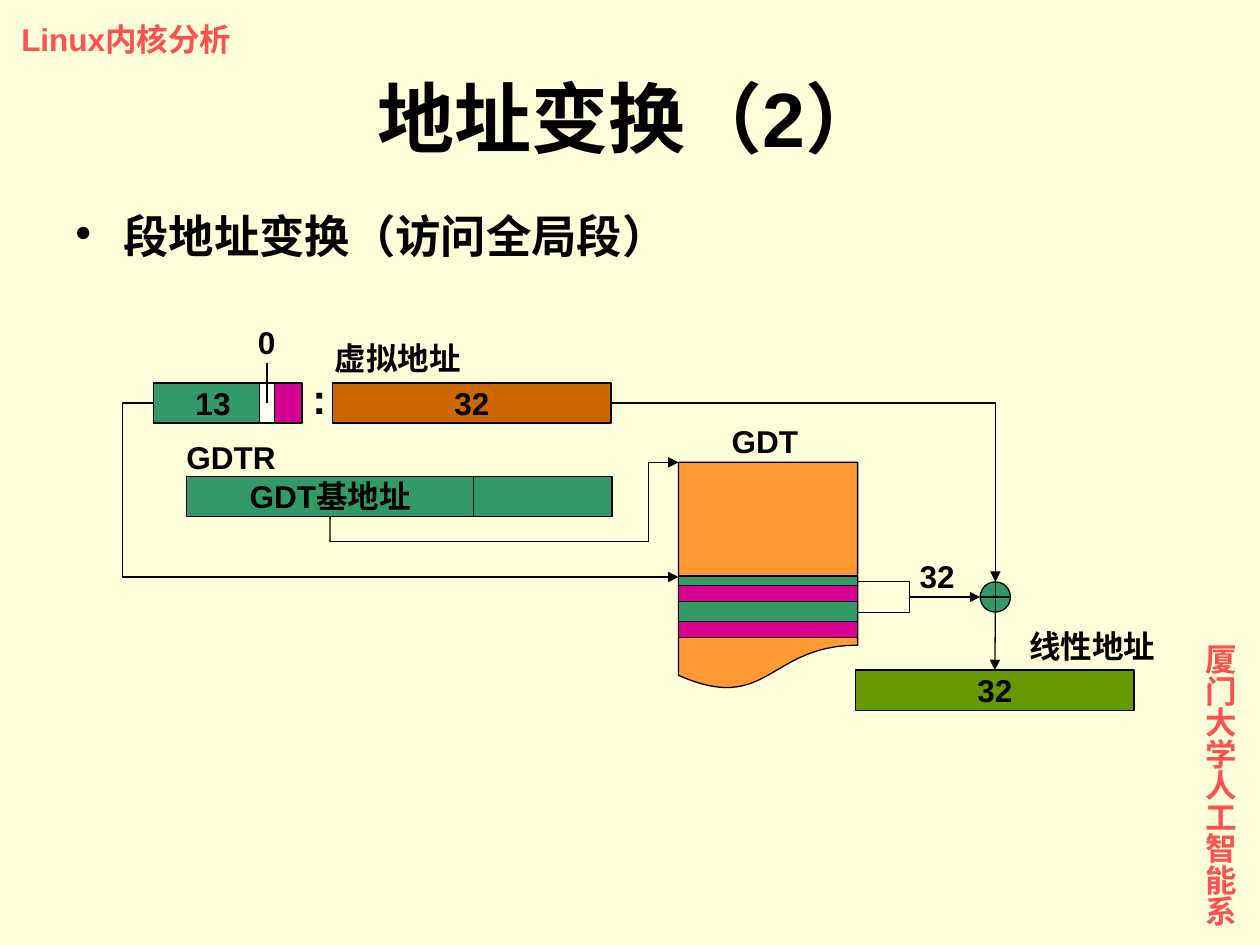
from lxml import etree
from pptx import Presentation
from pptx.dml.color import RGBColor
from pptx.enum import shapes, text
from pptx.oxml.ns import qn
from pptx.util import Cm, Pt

CREAM = RGBColor(0xFF, 0xFF, 0xD9)
BLACK = RGBColor(0, 0, 0)
CORAL = RGBColor(0xFF, 0x50, 0x50)
GREEN = RGBColor(0x33, 0x99, 0x66)
MAGENTA = RGBColor(0xD6, 0x00, 0x93)
BROWN = RGBColor(0xCC, 0x66, 0x00)
ORANGE = RGBColor(0xFF, 0x99, 0x33)
OLIVE = RGBColor(0x66, 0x99, 0x00)
IVORY = RGBColor(0xFF, 0xFF, 0xF7)

RECT = shapes.MSO_SHAPE.RECTANGLE
DOCUMENT = shapes.MSO_SHAPE.FLOWCHART_DOCUMENT
ADDER = shapes.MSO_SHAPE.FLOWCHART_OR
CENTER = text.PP_ALIGN.CENTER
MIDDLE = text.MSO_ANCHOR.MIDDLE

ROW_H = 0.81
SELECTOR_Y, GDTR_Y, LINEAR_Y = 7.72, 9.6, 13.51
SELECTOR_MID = SELECTOR_Y + ROW_H / 2
TABLE_X, TABLE_Y, TABLE_W = 13.68, 9.32, 3.61
TABLE_RIGHT = TABLE_X + TABLE_W
ADDER_X, ADDER_Y, ADDER_D = 19.76, 11.73, 0.61
ADDER_MID_X, ADDER_MID_Y = ADDER_X + ADDER_D / 2, ADDER_Y + ADDER_D / 2
BRACKET_X, BRACKET_HALF = 18.34, 0.31
LOOP_X, LOOP_Y, GDTR_MID = 13.08, 10.92, 6.65

BLOCKS = {
    "table": (DOCUMENT, TABLE_X, TABLE_Y, TABLE_W, 4.6, ORANGE, ""),
    "base": (RECT, 3.76, GDTR_Y, 5.79, ROW_H, GREEN, "GDT基地址"),
    "limit": (RECT, 9.55, GDTR_Y, 2.79, ROW_H, GREEN, ""),
    "privilege": (RECT, 3.3, SELECTOR_Y, 2.79, ROW_H, MAGENTA, ""),
    "offset": (RECT, 6.71, SELECTOR_Y, 5.61, ROW_H, BROWN, "32"),
    "index": (RECT, 3.1, SELECTOR_Y, 2.39, ROW_H, GREEN, "13"),
    "indicator": (RECT, 5.23, SELECTOR_Y, 0.3, ROW_H, IVORY, ""),
    "descriptor": (RECT, TABLE_X, 11.66, TABLE_W, 1.19, MAGENTA, ""),
    "upper band": (RECT, TABLE_X, 11.61, TABLE_W, 0.2, GREEN, ""),
    "lower band": (RECT, TABLE_X, 12.12, TABLE_W, 0.41, GREEN, ""),
    "adder": (ADDER, ADDER_X, ADDER_Y, ADDER_D, ADDER_D, GREEN, ""),
    "linear": (RECT, 17.25, LINEAR_Y, 5.61, ROW_H, OLIVE, "32"),
}

STRAIGHTS = [
    ((GDTR_MID, GDTR_Y + ROW_H), (GDTR_MID, LOOP_Y), False, ("base", 2), None),
    ((GDTR_MID, LOOP_Y), (LOOP_X, LOOP_Y), False, None, None),
    ((LOOP_X, LOOP_Y), (LOOP_X, TABLE_Y), False, None, None),
    ((LOOP_X, TABLE_Y), (TABLE_X, TABLE_Y), True, None, None),
    ((BRACKET_X, ADDER_MID_Y), (ADDER_X, ADDER_MID_Y), True, None, None),
    ((ADDER_MID_X, ADDER_Y + ADDER_D), (ADDER_MID_X, LINEAR_Y), True, None, ("linear", 0)),
    ((5.38, 7.32), (5.38, SELECTOR_MID), False, None, None),
]
CORNERS = [
    ((TABLE_RIGHT, ADDER_MID_Y - BRACKET_HALF), (BRACKET_X, ADDER_MID_Y), False),
    ((TABLE_RIGHT, ADDER_MID_Y + BRACKET_HALF), (BRACKET_X, ADDER_MID_Y), False),
    ((12.32, SELECTOR_MID), (ADDER_MID_X, ADDER_Y), True),
]
INDEX_ROUTE = ((3.1, SELECTOR_MID), (TABLE_X, 11.63), -0.06)

LABELS = [
    ("32", 18.29, 11.1, 1.22, 1.02, 18, BLACK),
    ("虚拟地址", 6.5, 6.71, 3.05, 1.02, 18, BLACK),
    ("线性地址", 20.5, 12.52, 3.05, 1.02, 18, BLACK),
    ("GDTR", 3.51, 8.71, 2.31, 1.02, 18, BLACK),
    ("0", 4.95, 6.38, 0.86, 1.02, 18, BLACK),
    (":", 6.05, 7.39, 0.79, 1.27, 24, BLACK),
    ("GDT", 14.5, 8.38, 1.85, 1.02, 18, BLACK),
    ("Linux内核分析", 0.18, 0.28, 4.88, 1.02, 18, CORAL),
]
DEPARTMENT = ("厦门大学人工智能系", 23.83, 12.73, 1.27, 5.97, 18, CORAL)
TITLE = ("地址变换（2）", 1.27, 0.76, 22.86, 3.18, 44, BLACK)
TOPIC = ("段地址变换（访问全局段）", 1.27, 4.45, 22.86, 13.89, 25.9, BLACK)


def apply(target, values):
    for key, value in values.items():
        setattr(target, key, value)


def write(frame, words, size, color):
    paragraph = frame.paragraphs[0]
    run = paragraph.add_run()
    run.text = words
    apply(run.font, {"name": "Arial", "size": Pt(size), "bold": True})
    run.font.color.rgb = color
    return paragraph


def add_label(slide, words, x, y, w, h, size, color, wrap=False):
    box = slide.shapes.add_textbox(Cm(x), Cm(y), Cm(w), Cm(h))
    box.text_frame.word_wrap = wrap
    return box.text_frame, write(box.text_frame, words, size, color)


def add_block(slide, kind, x, y, w, h, color, words):
    block = slide.shapes.add_shape(kind, Cm(x), Cm(y), Cm(w), Cm(h))
    block.shadow.inherit = False
    block.fill.solid()
    block.fill.fore_color.rgb = color
    block.line.color.rgb = BLACK
    block.line.width = Pt(0.75)
    if words:
        apply(block.text_frame, {"word_wrap": False, "vertical_anchor": MIDDLE})
        write(block.text_frame, words, 18, BLACK).alignment = CENTER
    return block


def add_link(slide, kind, start, end, arrow):
    link = slide.shapes.add_connector(kind, *(Cm(v) for v in start + end))
    link.line.color.rgb = BLACK
    link.line.width = Pt(0.75)
    properties = link._element.spPr
    if arrow:
        etree.SubElement(properties.find(qn("a:ln")), qn("a:tailEnd"), type="triangle")
    etree.SubElement(properties, qn("a:effectLst"))
    return link, properties.find(qn("a:prstGeom"))


def add_bullet(paragraph, color):
    properties = paragraph._p.get_or_add_pPr()
    properties.set("marL", str(Cm(0.97)))
    properties.set("indent", str(-Cm(0.97)))
    tint = etree.SubElement(properties, qn("a:buClr"))
    etree.SubElement(tint, qn("a:srgbClr"), val=str(color))
    etree.SubElement(properties, qn("a:buFont"), typeface="Arial")
    etree.SubElement(properties, qn("a:buChar"), char="•")


def main():
    deck = Presentation()
    apply(deck, {"slide_width": Cm(25.4), "slide_height": Cm(19.05)})
    slide = deck.slides.add_slide(deck.slide_layouts[6])
    slide.background.fill.solid()
    slide.background.fill.fore_color.rgb = CREAM

    title_frame, title = add_label(slide, *TITLE, wrap=True)
    title_frame.vertical_anchor = MIDDLE
    title.alignment = CENTER

    _, topic = add_label(slide, *TOPIC, wrap=True)
    add_bullet(topic, BLACK)
    topic.line_spacing = 0.6

    blocks = {part: add_block(slide, *values) for part, values in BLOCKS.items()}

    for start, end, arrow, source, target in STRAIGHTS:
        link, _ = add_link(slide, shapes.MSO_CONNECTOR.STRAIGHT, start, end, arrow)
        if source:
            link.begin_connect(blocks[source[0]], source[1])
        if target:
            link.end_connect(blocks[target[0]], target[1])

    for start, end, arrow in CORNERS:
        _, geometry = add_link(slide, shapes.MSO_CONNECTOR.ELBOW, start, end, arrow)
        geometry.set("prst", "bentConnector2")

    start, end, bend = INDEX_ROUTE
    _, geometry = add_link(slide, shapes.MSO_CONNECTOR.ELBOW, start, end, True)
    guides = geometry.get_or_add_avLst()
    etree.SubElement(guides, qn("a:gd"), name="adj1", fmla=f"val {round(bend * 100000)}")

    for label in LABELS:
        add_label(slide, *label)

    department, _ = add_label(slide, *DEPARTMENT)
    apply(department, {"margin_left": Cm(0.13), "margin_right": Cm(0.13),
                       "margin_top": Cm(0.25), "margin_bottom": Cm(0.25)})
    department._txBody.bodyPr.set("vert", "eaVert")

    deck.save("out.pptx")


if __name__ == "__main__":
    main()
